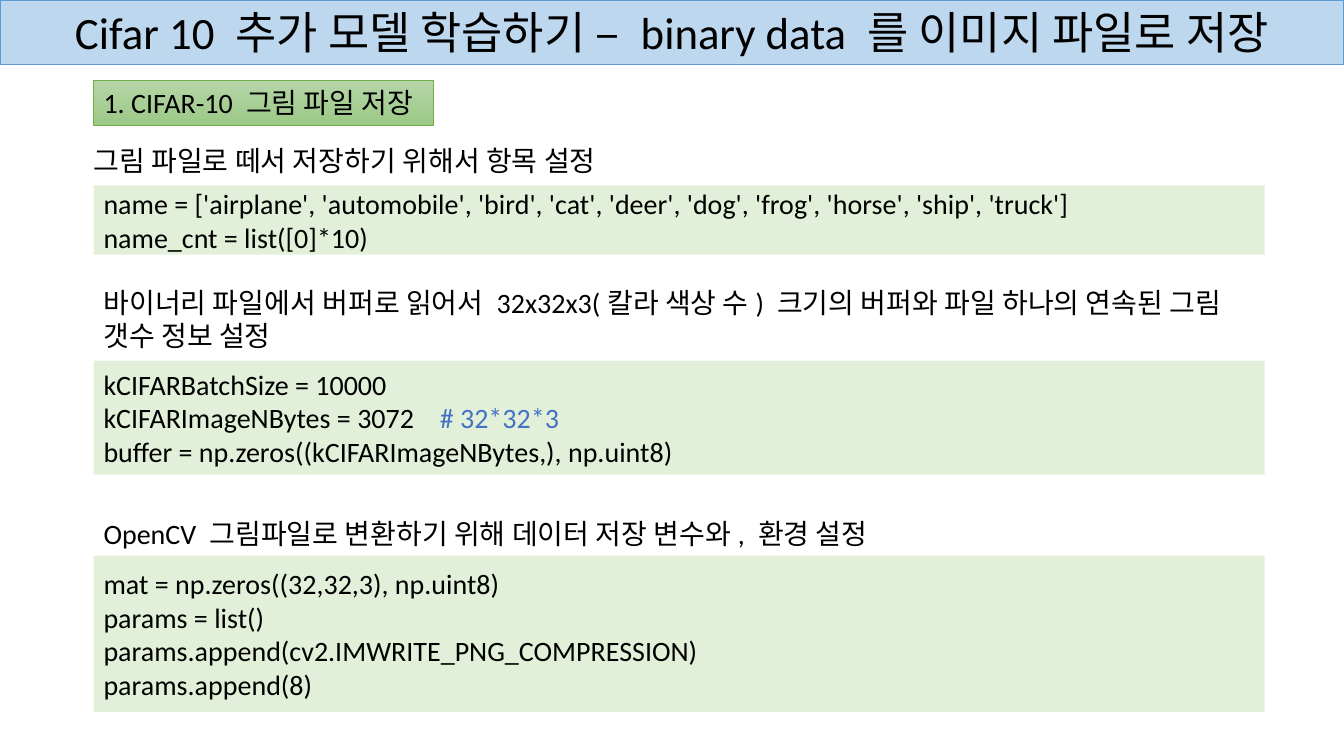
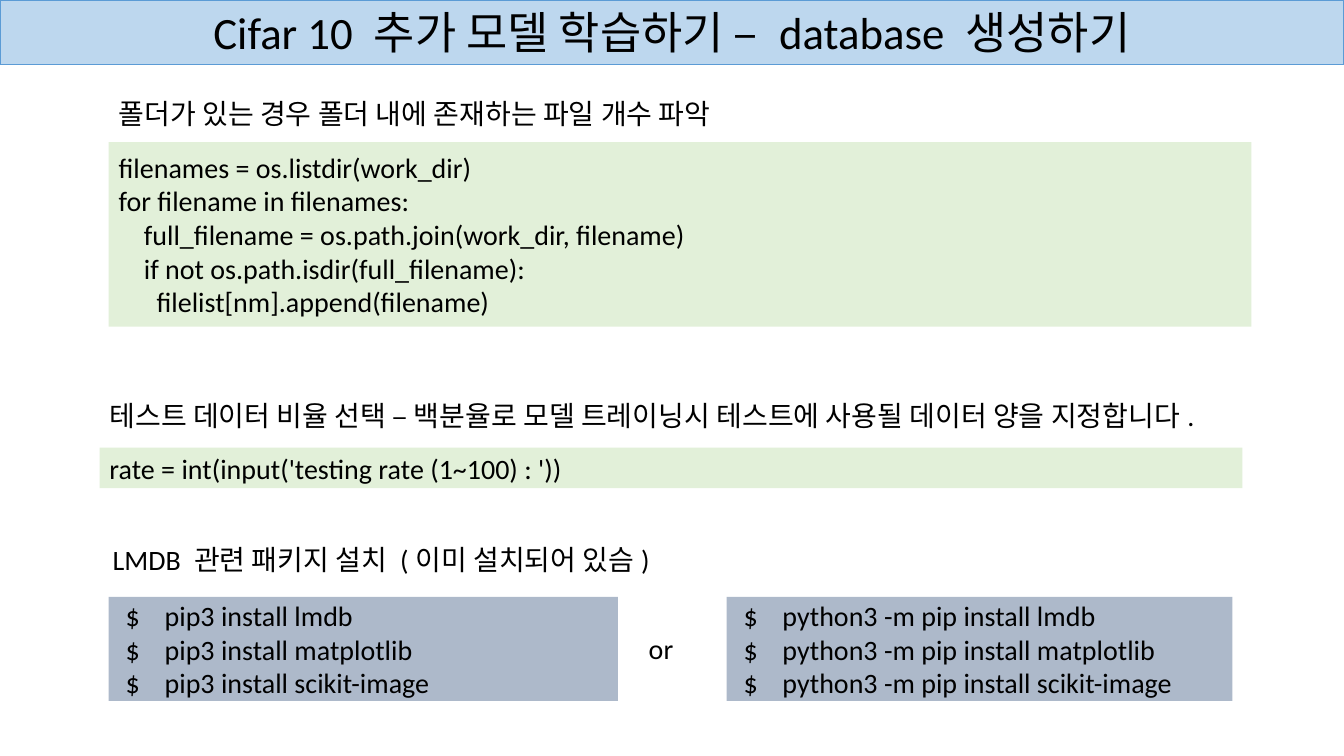
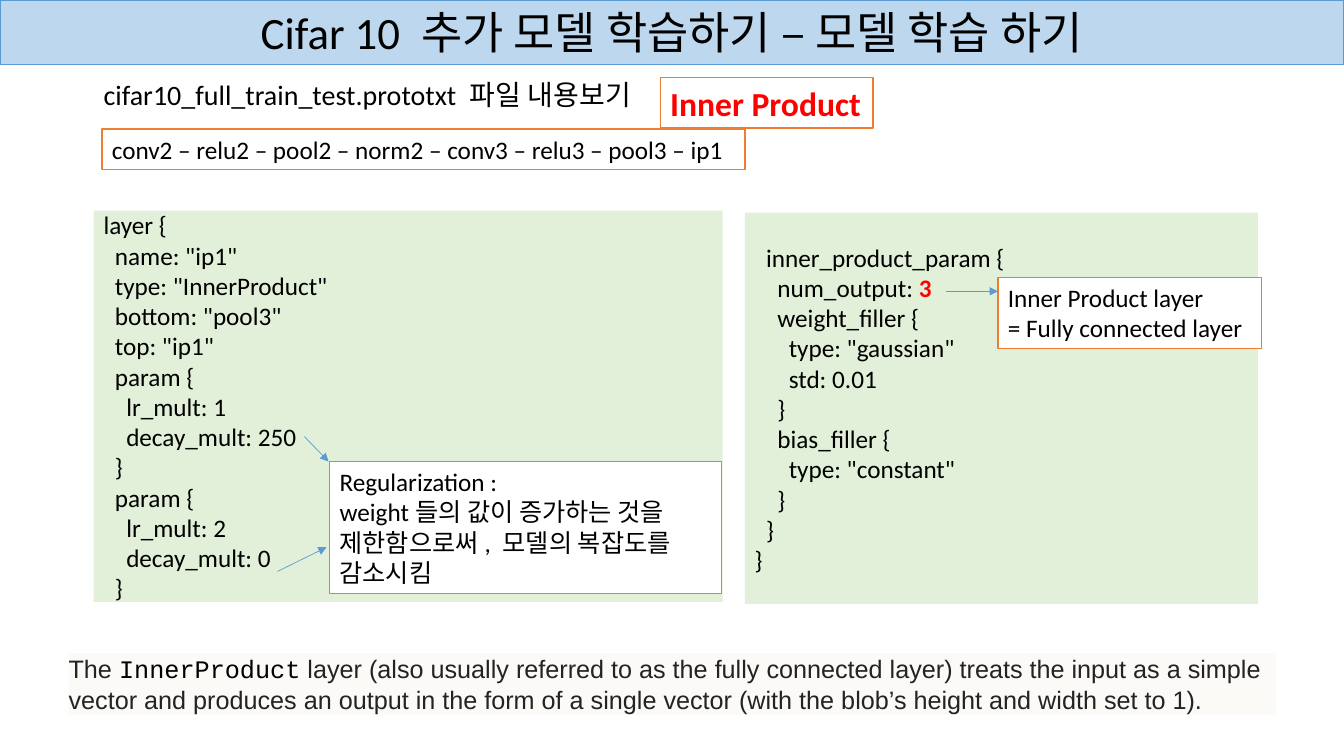
"""Build three slides on training an extra CIFAR-10 model."""
from lxml.etree import SubElement
from pptx import Presentation
from pptx.dml.color import RGBColor
from pptx.enum.shapes import MSO_CONNECTOR as Connector, MSO_SHAPE as Shape
from pptx.enum.text import MSO_ANCHOR as Anchor, PP_ALIGN as Align
from pptx.oxml.ns import qn
from pptx.util import Cm, Pt


def color(value):
    return RGBColor.from_string(value)


def write(paragraph, text, size=20, font="Calibri", ink="000000", bold=False):
    run = paragraph.add_run()
    run.text = text
    run.font.size = Pt(size)
    run.font.name = font
    run.font.bold = bold
    run.font.color.rgb = color(ink)


class Deck:
    WIDTH, HEIGHT = 33.87, 19.05
    BAND, BAND_LINE = "BDD7EE", "5B9BD5"
    CODE, COMMAND = "E2F0D9", "ADB9CA"
    ACCENT, RED, BLUE = "ED7D31", "FF0000", "4472C4"
    LABEL_TOP, LABEL_BOTTOM, LABEL_LINE = "B5D5A7", "9CC987", "70AD47"
    LINE_HEIGHT = 1.12

    def __init__(self):
        self.presentation = Presentation()
        self.presentation.slide_width = Cm(self.WIDTH)
        self.presentation.slide_height = Cm(self.HEIGHT)
        self.slide = None

    def new_slide(self, title):
        self.slide = self.presentation.slides.add_slide(self.presentation.slide_layouts[6])
        band = self.box(0, 0, self.WIDTH, 1.63, self.BAND, self.BAND_LINE)
        self.fill_text(band, [title], align=Align.CENTER, size=32)

    def box(self, left, top, width, height, fill, line=None, weight=1):
        shape = self.slide.shapes.add_shape(
            Shape.RECTANGLE, Cm(left), Cm(top), Cm(width), Cm(height))
        shape.shadow.inherit = False
        shape.fill.solid()
        shape.fill.fore_color.rgb = color(fill)
        if line:
            shape.line.color.rgb = color(line)
            shape.line.width = Pt(weight)
        else:
            shape.line.fill.background()
        return shape

    def fill_text(self, shape, lines, anchor=Anchor.TOP, align=Align.LEFT, **style):
        frame = shape.text_frame
        frame.word_wrap = True
        frame.vertical_anchor = anchor
        for index, line in enumerate(lines):
            paragraph = frame.add_paragraph() if index else frame.paragraphs[0]
            paragraph.alignment = align
            for text, changes in [(line, {})] if isinstance(line, str) else line:
                write(paragraph, text, **{**style, **changes})
        return frame

    def note(self, left, top, width, text, height=LINE_HEIGHT):
        shape = self.slide.shapes.add_textbox(Cm(left), Cm(top), Cm(width), Cm(height))
        self.fill_text(shape, [text])

    def code(self, left, top, width, height, lines, size=20):
        shape = self.box(left, top, width, height, self.CODE)
        self.fill_text(shape, lines, Anchor.MIDDLE, size=size)

    def commands(self, left, top, width, height, lines):
        shape = self.box(left, top, width, height, self.COMMAND)
        frame = self.fill_text(shape, [f"$\t{line}" for line in lines], Anchor.MIDDLE)
        for paragraph in frame.paragraphs:
            properties = paragraph._p.get_or_add_pPr()
            properties.set("marL", str(Cm(1.16)))
            properties.set("indent", str(Cm(-0.98)))

    def label(self, left, top, width, text):
        shape = self.box(left, top, width, self.LINE_HEIGHT, self.LABEL_TOP,
                         self.LABEL_LINE, 0.5)
        shape.fill.gradient()
        shape.fill.gradient_angle = 270
        for stop, value in zip(shape.fill.gradient_stops,
                               (self.LABEL_TOP, self.LABEL_BOTTOM)):
            stop.color.rgb = color(value)
        self.fill_text(shape, [text])

    def callout(self, left, top, width, height, lines, **style):
        shape = self.box(left, top, width, height, "FFFFFF", self.ACCENT)
        self.fill_text(shape, lines, **{"size": 18, **style})

    def quote(self, left, top, width, height, runs):
        shape = self.box(left, top, width, height, "FBFAF7")
        frame = self.fill_text(shape, [runs], Anchor.MIDDLE,
                               size=18, font="Arial", ink="232323")
        frame.margin_left = frame.margin_right = 0
        frame.margin_top = frame.margin_bottom = 0

    def arrow(self, *ends):
        connector = self.slide.shapes.add_connector(
            Connector.STRAIGHT, *(Cm(end) for end in ends))
        connector.line.color.rgb = color(self.BAND_LINE)
        connector.line.width = Pt(0.5)
        SubElement(connector.line._get_or_add_ln(), qn("a:tailEnd"), type="triangle")
        SubElement(connector._element.spPr, qn("a:effectLst"))


def image_slide(deck):
    left, width = 2.36, 29.51
    deck.new_slide("Cifar 10 추가 모델 학습하기 – binary data 를 이미지 파일로 저장")
    deck.label(left, 2.03, 8.56, "1. CIFAR-10 그림 파일 저장")
    deck.note(2.11, 3.48, 14.3, "그림 파일로 떼서 저장하기 위해서 항목 설정")
    deck.code(left, 4.67, width, 1.75, [
        "name = ['airplane', 'automobile', 'bird', 'cat', 'deer', 'dog', "
        "'frog', 'horse', 'ship', 'truck']",
        "name_cnt = list([0]*10)",
    ])
    deck.note(left, 7.06, 29.29,
              "바이너리 파일에서 버퍼로 읽어서 32x32x3(칼라 색상 수) 크기의 버퍼와 "
              "파일 하나의 연속된 그림 갯수 정보 설정", height=1.96)
    deck.code(left, 9.09, width, 2.87, [
        "kCIFARBatchSize = 10000",
        [("kCIFARImageNBytes = 3072    ", {}), ("# 32*32*3", {"ink": deck.BLUE})],
        "buffer = np.zeros((kCIFARImageNBytes,), np.uint8)",
    ])
    deck.note(left, 12.88, 20.73, "OpenCV 그림파일로 변환하기 위해 데이터 저장 변수와, 환경 설정")
    deck.code(left, 14, width, 3.94, [
        "mat = np.zeros((32,32,3), np.uint8)",
        "params = list()",
        "params.append(cv2.IMWRITE_PNG_COMPRESSION)",
        "params.append(8)",
    ])


def database_slide(deck):
    left, width = 2.74, 28.8
    packages = ["lmdb", "matplotlib", "scikit-image"]
    deck.new_slide("Cifar 10 추가 모델 학습하기 – database 생성하기")
    deck.note(left, 2.31, 16.76, "폴더가 있는 경우 폴더 내에 존재하는 파일 개수 파악")
    deck.code(left, 3.58, width, 4.65, [
        "filenames = os.listdir(work_dir)",
        "for filename in filenames:",
        "    full_filename = os.path.join(work_dir, filename)",
        "    if not os.path.isdir(full_filename):",
        "      filelist[nm].append(filename)",
    ])
    deck.note(2.51, 9.91, 31.06,
              "테스트 데이터 비율 선택 – 백분율로 모델 트레이닝시 테스트에 사용될 "
              "데이터 양을 지정합니다.")
    deck.code(2.51, 11.28, width, 1.02, ["rate = int(input('testing rate (1~100) : '))"])
    deck.note(2.59, 13.54, 14.33, "LMDB 관련 패키지 설치 (이미 설치되어 있슴)")
    for box_left, box_width, tool in ((left, 12.83, "pip3"),
                                      (18.31, 12.75, "python3 -m pip")):
        deck.commands(box_left, 15.04, box_width, 2.62,
                      [f"{tool} install {package}" for package in packages])
    deck.note(16.1, 15.8, 1.68, "or")


def layer_slide(deck):
    deck.new_slide("Cifar 10 추가 모델 학습하기 – 모델 학습 하기")
    deck.note(2.36, 1.83, 14.27, "cifar10_full_train_test.prototxt 파일 내용보기")
    deck.callout(16.64, 1.96, 5.36, 1.27, ["Inner Product"],
                 size=24, ink=deck.RED, bold=True)
    deck.callout(2.57, 3.25, 16.21, 1.02,
                 ["conv2 – relu2 – pool2 – norm2 – conv3 – relu3 – pool3 – ip1"])
    deck.code(2.36, 5.31, 15.85, 9.86, [
        "layer {",
        '  name: "ip1"',
        '  type: "InnerProduct"',
        '  bottom: "pool3"',
        '  top: "ip1"',
        "  param {",
        "    lr_mult: 1",
        "    decay_mult: 250",
        "  }",
        "  param {",
        "    lr_mult: 2",
        "    decay_mult: 0",
        "  }",
    ], size=18)
    deck.code(18.77, 5.36, 12.93, 9.86, [
        "  inner_product_param {",
        [("    num_output: ", {}), ("3", {"ink": deck.RED, "bold": True})],
        "    weight_filler {",
        '      type: "gaussian"',
        "      std: 0.01",
        "    }",
        "    bias_filler {",
        '      type: "constant"',
        "    }",
        "  }",
        "}",
    ], size=18)
    deck.callout(25.15, 6.99, 6.65, 1.8, ["Inner Product layer", "= Fully connected layer"])
    deck.callout(8.31, 11.63, 9.88, 3.33, [
        "Regularization :",
        "weight들의 값이 증가하는 것을 제한함으로써, 모델의 복잡도를 감소시킴",
    ])
    deck.arrow(23.83, 7.34, 25.15, 7.34)
    deck.arrow(7.67, 11, 8.28, 11.63)
    deck.arrow(6.99, 14.4, 8.23, 13.79)
    deck.quote(1.73, 16.46, 30.43, 1.55, [
        ("The ", {}),
        ("InnerProduct", {"font": "Courier New", "ink": "000000"}),
        (" layer (also usually referred to as the fully connected layer) treats the "
         "input as a simple vector and produces an output in the form of a single "
         "vector (with the blob’s height and width set to 1).", {}),
    ])


def main():
    deck = Deck()
    for build in (image_slide, database_slide, layer_slide):
        build(deck)
    deck.presentation.save("out.pptx")


if __name__ == "__main__":
    main()
